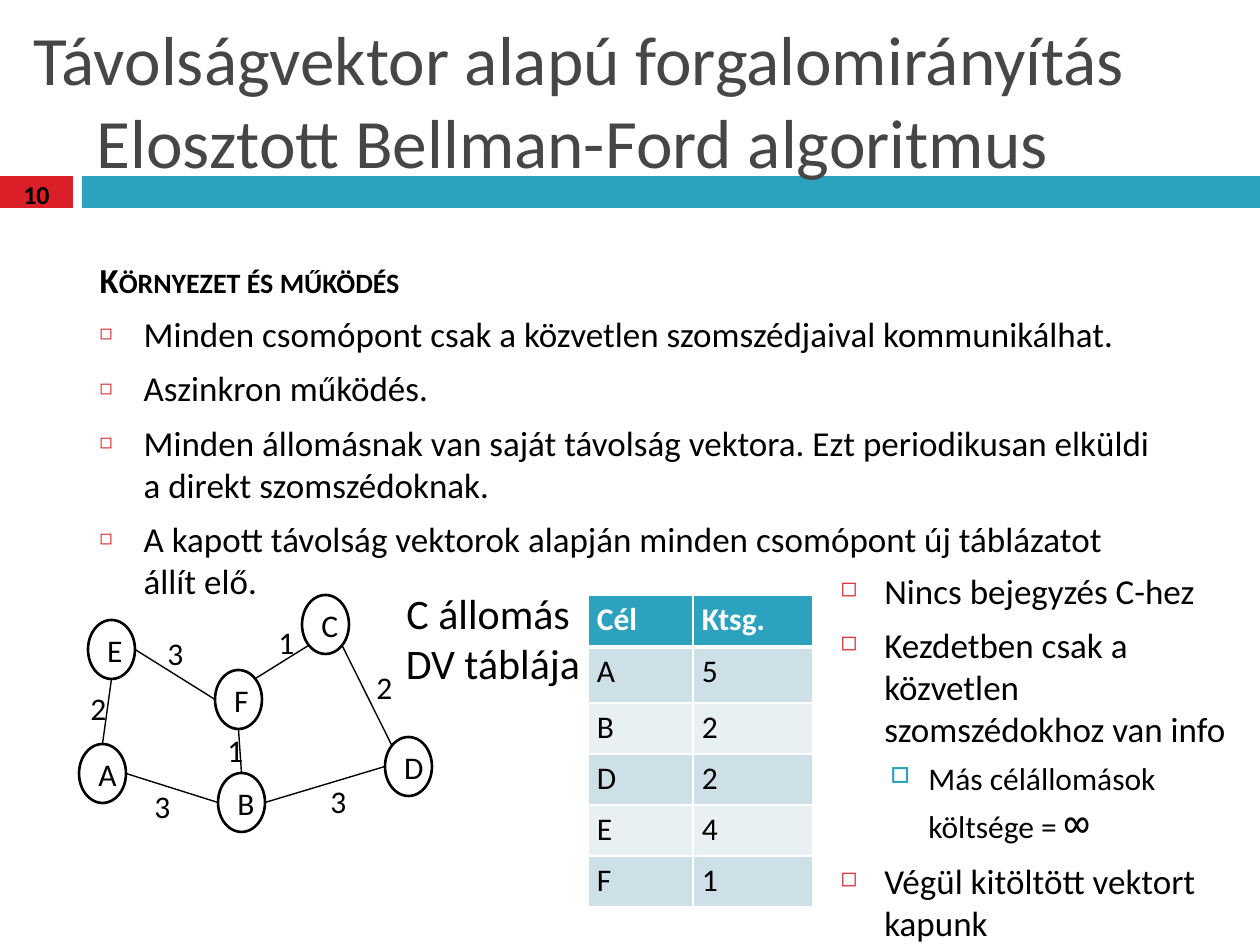
from copy import deepcopy

from lxml.etree import SubElement
from pptx import Presentation
from pptx.dml.color import RGBColor
from pptx.enum.shapes import MSO_CONNECTOR, MSO_SHAPE
from pptx.enum.text import MSO_ANCHOR, MSO_AUTO_SIZE, PP_ALIGN
from pptx.oxml.ns import qn
from pptx.util import Pt

PX = 914400 // 126
BLACK, WHITE, RED, TEAL = "000000", "FFFFFF", "DA1F28", "2DA2BF"
FONT = "Calibri"
# level: bullet, colour, bullet size in %, indent, hanging, space before, text size
BULLETS = {0: ("◻", RED, 60, 44, 44, 7, 20), 1: ("□", TEAL, 70, 88, 38, 5.5, 18)}


def px(*values):
    """Turn picture pixels into EMU."""
    return [round(v * PX) for v in values]


def rgb(color):
    """Turn a hex string into a colour."""
    return RGBColor.from_string(color)


def style(p, size, color=BLACK, bold=False, align=None):
    """Format every run and line break of a paragraph."""
    p.alignment = align
    for r in p.runs:
        r.font.name, r.font.size, r.font.bold = FONT, Pt(size), bold
        r.font.color.rgb = rgb(color)
    for br in p._p.findall(qn("a:br")):
        br.append(deepcopy(p.runs[0].font._element))


def place(sp, box):
    """Move a shape to a box given in pixels."""
    sp.left, sp.top, sp.width, sp.height = px(*box)


def add_text(slide, box, text, size, wrap=False, align=None):
    """Add a text box with one format and return it."""
    sp = slide.shapes.add_textbox(*px(*box))
    tf = sp.text_frame
    tf.text = text
    tf.word_wrap = wrap
    tf.auto_size = MSO_AUTO_SIZE.NONE if wrap else MSO_AUTO_SIZE.SHAPE_TO_FIT_TEXT
    for p in tf.paragraphs:
        style(p, size, align=align)
    return sp


def add_shape(slide, kind, box, fill, line=None):
    """Add a flat preset shape."""
    sp = slide.shapes.add_shape(kind, *px(*box))
    sp.shadow.inherit = False
    sp.fill.solid()
    sp.fill.fore_color.rgb = rgb(fill)
    if line:
        sp.line.color.rgb = rgb(line)
        sp.line.width = Pt(1.5)
    else:
        sp.line.fill.background()
    return sp


def add_bullet(p, level=0):
    """Format a paragraph as a list item of the given level."""
    char, color, percent, indent, hanging, before, size = BULLETS[level]
    style(p, size)
    p.level, p.space_before = level, Pt(before)
    pPr = p._p.get_or_add_pPr()
    left, hang = px(indent, hanging)
    pPr.set("marL", str(left))
    pPr.set("indent", str(-hang))
    SubElement(SubElement(pPr, qn("a:buClr")), qn("a:srgbClr"), val=color)
    SubElement(pPr, qn("a:buSzPct"), val=str(percent * 1000))
    SubElement(pPr, qn("a:buChar"), char=char)


def add_header(slide, box):
    """Fill the title and draw the bar with the page number below it."""
    left, top, width, height = box
    bars = [add_shape(slide, MSO_SHAPE.RECTANGLE, (x, top + 145, w, 32), color)
            for x, w, color in ((0, 73, RED), (82, 1178, TEAL))]
    for i, bar in enumerate(bars):
        slide.shapes._spTree.insert(2 + i, bar._element)
    title = slide.shapes.title
    place(title, box)
    tf = title.text_frame
    tf.text = "Távolságvektor alapú forgalomirányítás\v\tElosztott Bellman-Ford algoritmus"
    tf.auto_size, tf.vertical_anchor = MSO_AUTO_SIZE.NONE, MSO_ANCHOR.MIDDLE
    style(tf.paragraphs[0], 39.6, "464646", align=PP_ALIGN.LEFT)
    number = add_text(slide, (0, top + 142, 73, 42), "10", 14.8, True, PP_ALIGN.CENTER)
    number.text_frame.vertical_anchor = MSO_ANCHOR.MIDDLE
    number.text_frame.paragraphs[0].runs[0].font.bold = True


def add_body(slide, box, heading, items):
    """Fill the body placeholder with a small-caps heading and a list."""
    body = slide.placeholders[1]
    place(body, box)
    tf = body.text_frame
    tf.text = "\n".join([heading, *items])
    tf.auto_size = MSO_AUTO_SIZE.NONE
    head, *rest = tf.paragraphs
    style(head, 20, bold=True)
    head.space_before = Pt(7)
    head.runs[0].font._element.set("cap", "small")
    pPr = head._p.get_or_add_pPr()
    pPr.set("marL", "0")
    pPr.set("indent", "0")
    SubElement(pPr, qn("a:buNone"))
    for p in rest:
        add_bullet(p)


def add_graph(slide, left, top):
    """Draw the network: nodes, edges and edge costs."""
    w, h = 47, 59
    nodes = {"E": (9, 25), "F": (136, 75), "C": (223, 0),
             "B": (139, 178), "D": (306, 142), "A": (0, 149)}
    sites = {"top": (.5, 0), "bottom": (.5, 1), "left": (0, .5), "right": (1, .5),
             "nw": (.15, .15), "ne": (.85, .15), "sw": (.15, .85), "se": (.85, .85)}
    edges = [("E", "bottom", "A", "top"), ("A", "right", "B", "left"),
             ("B", "right", "D", "left"), ("D", "nw", "C", "se"),
             ("B", "top", "F", "bottom"), ("E", "right", "F", "left"),
             ("F", "ne", "C", "sw")]
    costs = [("3", 63, 186), ("3", 76, 33), ("2", -1, 88), ("1", 136, 130),
             ("1", 187, 22), ("3", 239, 181), ("2", 285, 67)]

    def point(node, site):
        """Return the place of a connection site."""
        (x, y), (fx, fy) = nodes[node], sites[site]
        return left + x + fx * w, top + y + fy * h

    for name, (x, y) in nodes.items():
        sp = add_shape(slide, MSO_SHAPE.OVAL, (left + x, top + y, w, h), WHITE, BLACK)
        sp.text_frame.text = name
        sp.text_frame.vertical_anchor = MSO_ANCHOR.MIDDLE
        style(sp.text_frame.paragraphs[0], 18, align=PP_ALIGN.CENTER)
    for a, site_a, b, site_b in edges:
        line = slide.shapes.add_connector(
            MSO_CONNECTOR.STRAIGHT, *px(*point(a, site_a), *point(b, site_b)))
        line.line.color.rgb = rgb(BLACK)
        line.line.width = Pt(0.79)
        SubElement(line._element.spPr, qn("a:effectLst"))
    for cost, x, y in costs:
        add_text(slide, (left + x, top + y, 43, 50), cost, 18)


def add_border(cell, side, width):
    """Give one side of a cell a white border."""
    tcPr = cell._tc.get_or_add_tcPr()
    ln = SubElement(tcPr, qn("a:" + side), w=str(Pt(width)))
    SubElement(SubElement(ln, qn("a:solidFill")), qn("a:srgbClr"), val=WHITE)


def add_vector_table(slide, left, top, rows):
    """Add the distance vector table with its caption on the left."""
    widths, heights = (105, 120), (52, 56, 51, 51, 51, 51)
    frame = slide.shapes.add_table(
        len(rows), 2, *px(left, top, sum(widths), sum(heights)))
    table = frame.table
    for col, width in zip(table.columns, widths):
        col.width = px(width)[0]
    for i, (row, height) in enumerate(zip(table.rows, heights)):
        row.height = px(height)[0]
        for cell, text in zip(row.cells, rows[i]):
            cell.text = text
            cell.margin_left, cell.margin_right, cell.margin_top, cell.margin_bottom = px(9, 9, 6, 6)
            style(cell.text_frame.paragraphs[0], 18, BLACK if i else WHITE, i == 0)
            for side in ("lnL", "lnR", "lnT", "lnB"):
                heavy = (i, side) in ((0, "lnB"), (1, "lnT"))
                add_border(cell, side, 3 if heavy else 1)
            cell.fill.solid()
            cell.fill.fore_color.rgb = rgb(("E8F0F4", "CDE0E8")[i % 2] if i else TEAL)
    add_text(slide, (left - 201, top - 14, 212, 115), "C állomás \nDV táblája", 24,
             align=PP_ALIGN.CENTER)


def add_remarks(slide, box, items):
    """Add the list beside the table."""
    sp = add_text(slide, box, "\n".join(text for _, text in items), 20, True)
    for p, (level, text) in zip(sp.text_frame.paragraphs, items):
        add_bullet(p, level)
        if level:
            r = p.add_run()
            r.text = "∞"
            r.font.name, r.font.size = "DejaVu Sans Mono", Pt(24)
            r.font.color.rgb = rgb(BLACK)


prs = Presentation()
prs.slide_width, prs.slide_height = px(1260, 945)
slide = prs.slides.add_slide(prs.slide_layouts[1])
add_header(slide, (21, 31, 1218, 136))
add_body(slide, (87, 252, 1087, 600), "Környezet és működés", [
    "Minden csomópont csak a közvetlen szomszédjaival kommunikálhat. ",
    "Aszinkron működés.",
    "Minden állomásnak van saját távolság vektora. Ezt periodikusan elküldi a direkt szomszédoknak.",
    "A kapott távolság vektorok alapján minden csomópont új táblázatot állít elő. "])
add_graph(slide, 79, 595)
add_vector_table(slide, 588, 595, [
    ("Cél", "Ktsg."), ("A", "5"), ("B", "2"), ("D", "2"), ("E", "4"), ("F", "1")])
add_remarks(slide, (828, 563, 413, 319), [
    (0, "Nincs bejegyzés C-hez"),
    (0, "Kezdetben csak a közvetlen szomszédokhoz van info"),
    (1, "Más célállomások költsége = "),
    (0, "Végül kitöltött vektort kapunk")])
prs.save("out.pptx")
